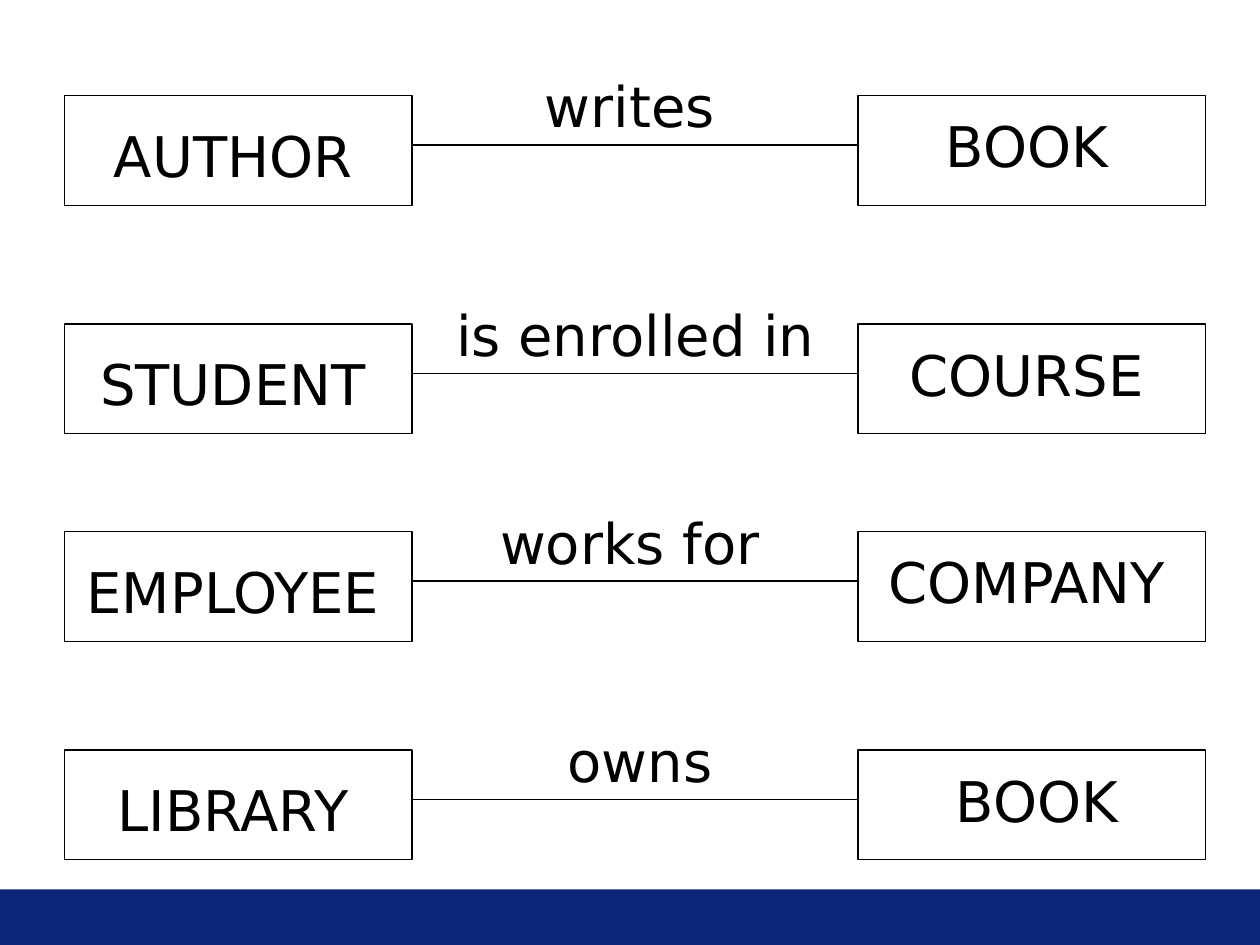
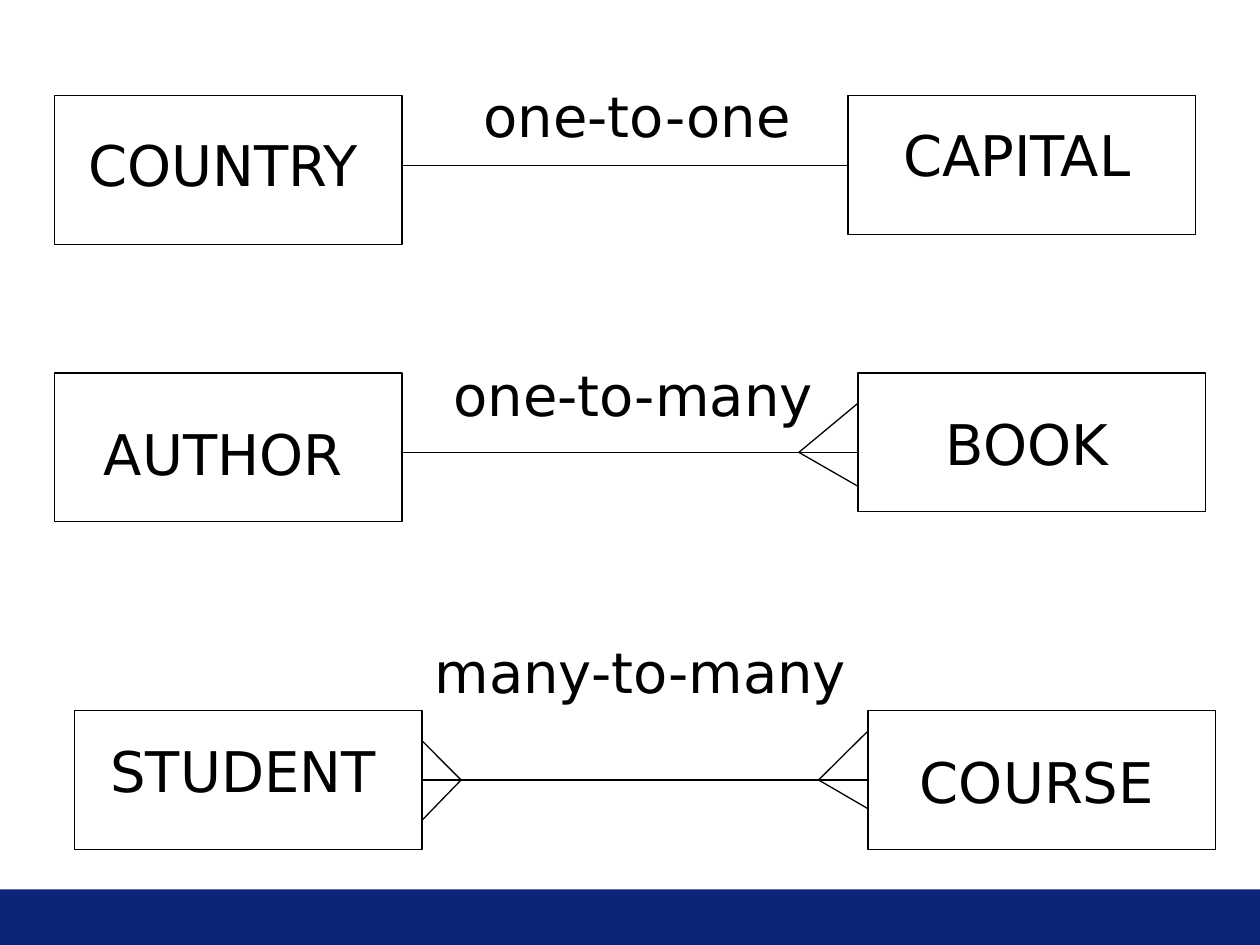
from lxml import etree
from pptx import Presentation
from pptx.dml.color import RGBColor
from pptx.enum import shapes, text
from pptx.oxml.ns import qn
from pptx.util import Pt

NAVY = RGBColor(0x0C, 0x25, 0x77)
BLACK = RGBColor(0, 0, 0)
FONT = "DejaVu Sans"
BOX_W, NAME_W, TEXT_H = 198.7, 193, 45.4
CENTER, LEFT = text.PP_ALIGN.CENTER, text.PP_ALIGN.LEFT


def add_text(s, words, x, y, w, align):
    tb = s.shapes.add_textbox(Pt(x), Pt(y), Pt(w), Pt(TEXT_H))
    tf = tb.text_frame
    tf.word_wrap = True
    tf.auto_size = text.MSO_AUTO_SIZE.SHAPE_TO_FIT_TEXT
    p = tf.paragraphs[0]
    p.alignment = align
    # Space before as a share of the line height
    before = etree.SubElement(p._p.get_or_add_pPr(), qn("a:spcBef"))
    etree.SubElement(before, qn("a:spcPct"), val="50000")
    r = p.add_run()
    r.text = words
    r.font.name, r.font.size = FONT, Pt(32)
    r.font.color.rgb = BLACK


def add_line(s, x1, y1, x2, y2):
    ln = s.shapes.add_connector(shapes.MSO_CONNECTOR.STRAIGHT,
                                Pt(x1), Pt(y1), Pt(x2), Pt(y2))
    ln.line.color.rgb, ln.line.width = BLACK, Pt(0.75)
    etree.SubElement(ln._element.spPr, qn("a:effectLst"))


prs = Presentation()
prs.slide_width, prs.slide_height = Pt(720), Pt(540)
blank = prs.slide_layouts[6]
verbs_slide, degrees_slide = [prs.slides.add_slide(blank) for _ in range(2)]

# Bottom band, moved to the master so that both slides share it
band = verbs_slide.shapes.add_shape(shapes.MSO_SHAPE.RECTANGLE,
                                    0, Pt(508.2), Pt(720), Pt(31.8))
band.shadow.inherit = False
band.fill.solid()
band.fill.fore_color.rgb = NAVY
band.line.fill.background()
prs.slide_master.element.cSld.spTree.insert(2, band._element)

# Slide 1: top, left entity, verb, verb left, verb width, right entity, its indent
verbs = [
    (54.7, "AUTHOR", "writes", 263.5, NAME_W, "BOOK", 0),
    (185.2, "STUDENT", "is enrolled in", 241.2, 244, "COURSE", 0),
    (303.9, "EMPLOYEE", "works for", 263.5, NAME_W, "COMPANY", 0),
    (428.6, "LIBRARY", "owns", 269.3, NAME_W, "BOOK", 5.7),
]
# Entities: name, box left, top, height, indent and drop of the name
verb_entities = []
for y, left, verb, x, w, right, indent in verbs:
    verb_entities += [(left, 36.7, y, 62.6, 0, 11.2),
                      (right, 490.3, y, 62.6, indent, 5.6)]
    add_line(verbs_slide, 235.4, y + 28.2, 490.3, y + 28.2)
    add_text(verbs_slide, verb, x, y - 17.1, w, CENTER)

# Slide 2: entities, as above
degree_entities = [
    ("COUNTRY", 31, 54.7, 85, 0, 16.6),
    ("CAPITAL", 484.6, 54.7, 79.2, 0, 10.8),
    ("AUTHOR", 31, 213.1, 85, 0, 23),
    ("BOOK", 490.3, 213.1, 79.2, 0, 17.3),
    ("STUDENT", 42.5, 406.1, 79.2, 0, 11.5),
    ("COURSE", 496.1, 406.1, 79.2, 0, 17.3),
]
# Degree, its left and top, then the line's start, end and height
for degree, x, y, start, end, line_y in [
    ("one-to-one", 269.3, 43.2, 229.7, 484.6, 94.5),
    ("one-to-many", 252, 202.3, 229.7, 490.3, 258.5),
    ("many-to-many", 241.2, 360.7, 241.2, 496.1, 445.7),
]:
    add_line(degrees_slide, start, line_y, end, line_y)
    add_text(degrees_slide, degree, x, y, 260.6, LEFT)

# Crow's feet: tip, box edge, height, rise and fall of the toes
for tip, edge, y, rise, fall in [
    (456.5, 490.3, 258.5, 28.1, 19.4),
    (263.5, 241.2, 445.7, 22.3, 23),
    (467.8, 496.1, 445.7, 28.1, 16.5),
]:
    for toe in (y - rise, y + fall):
        add_line(degrees_slide, tip, y, edge, toe)

# Entity boxes and names
for s, entities in [(verbs_slide, verb_entities), (degrees_slide, degree_entities)]:
    for name, x, y, h, indent, drop in entities:
        sp = s.shapes.add_shape(shapes.MSO_SHAPE.RECTANGLE,
                                Pt(x), Pt(y), Pt(BOX_W), Pt(h))
        sp.shadow.inherit = False
        sp.fill.background()
        sp.line.color.rgb, sp.line.width = BLACK, Pt(0.75)
        add_text(s, name, x + indent, y + drop, NAME_W, CENTER)

prs.save("out.pptx")
